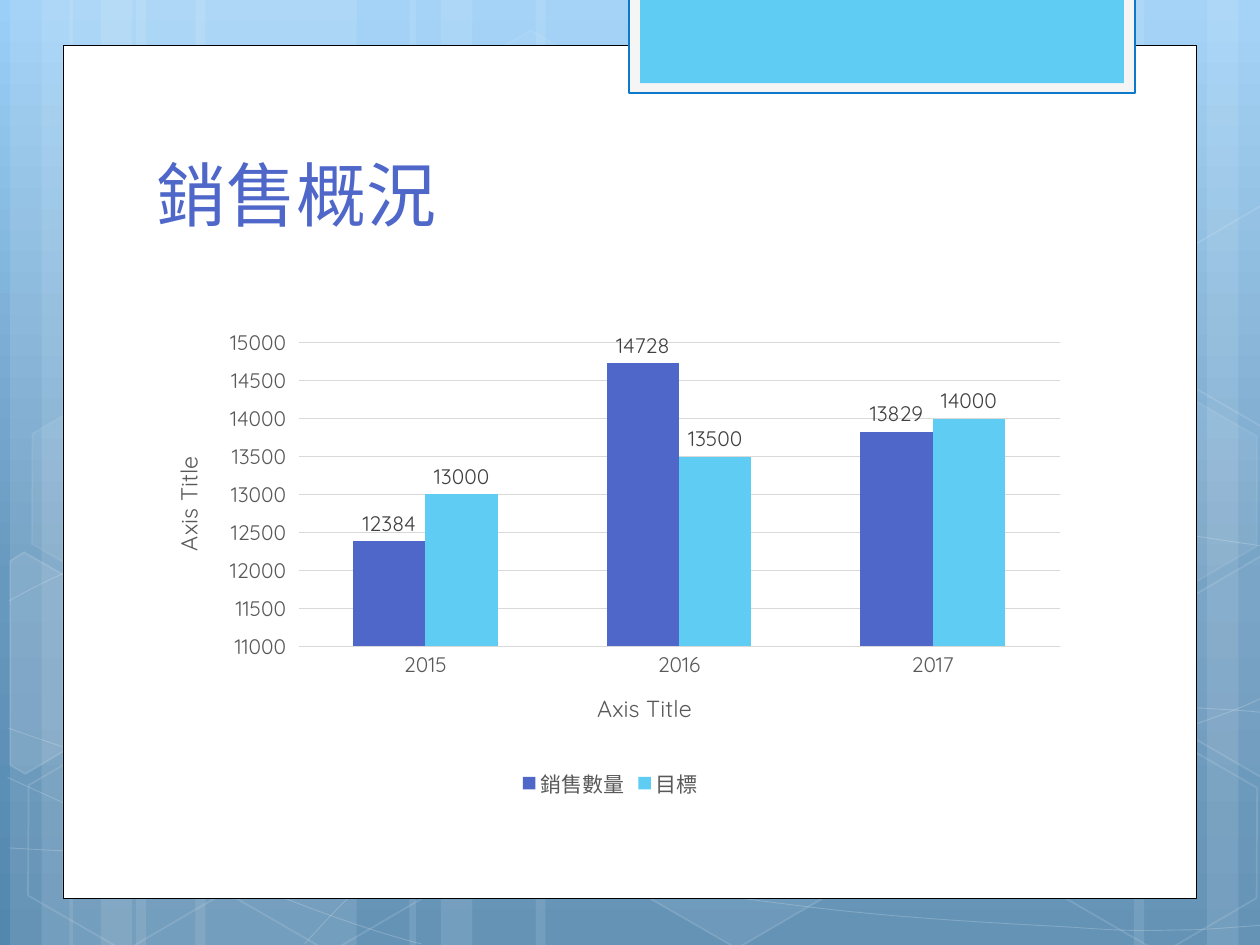
from dataclasses import dataclass
from math import cos, radians, sin
from typing import NamedTuple, Optional
import copy

from lxml import etree
from pptx import Presentation
from pptx.chart.data import CategoryChartData
from pptx.dml.color import RGBColor
from pptx.enum.chart import XL_CHART_TYPE, XL_LABEL_POSITION, XL_LEGEND_POSITION, XL_TICK_MARK
from pptx.enum.shapes import MSO_SHAPE
from pptx.enum.text import MSO_ANCHOR, MSO_AUTO_SIZE, PP_ALIGN
from pptx.oxml import parse_xml
from pptx.oxml.ns import nsdecls, qn
from pptx.util import Pt

RECT, HEXAGON = MSO_SHAPE.RECTANGLE, MSO_SHAPE.HEXAGON
COLUMNS = XL_CHART_TYPE.COLUMN_CLUSTERED
OUTSIDE_END = XL_LABEL_POSITION.OUTSIDE_END
LEGEND_BOTTOM = XL_LEGEND_POSITION.BOTTOM
TICK_NONE, TICK_OUT = XL_TICK_MARK.NONE, XL_TICK_MARK.OUTSIDE

PX = 9144  # 100 px to the inch
SLIDE_W, SLIDE_H = 1000, 750
TILT = 30  # degrees, shared by all hexagons


@dataclass(frozen=True)
class Theme:
    font: str = "Quicksand"
    sky: tuple = ((0, "9BCFF7"), (0.62, "6798BE"), (1, "5487AE"))
    white: str = "FFFFFF"
    black: str = "000000"
    tab_frame: str = "F5F5F5"
    tab_edge: str = "0D79CA"
    indigo: str = "4E67C8"
    cyan: str = "5ECCF3"
    grid: str = "D9D9D9"
    axis_text: str = "595959"
    label_text: str = "404040"
    title_size: float = 40
    axis_title_size: float = 13.3
    chart_size: float = 12


THEME = Theme()


class Box(NamedTuple):
    left: int
    top: int
    width: int
    height: int

    def emu(self) -> list:
        return [v * PX for v in self]


@dataclass(frozen=True)
class Paint:
    fill: Optional[str] = None
    line: Optional[str] = None
    width: float = 1
    fill_alpha: int = 100
    line_alpha: int = 100


class Hexagon(NamedTuple):
    left: int
    top: int
    fill_alpha: int
    line_alpha: int


class CutHexagon(NamedTuple):
    center: tuple
    points: tuple
    fill_alpha: int


class Series(NamedTuple):
    name: str
    values: tuple
    color: str


BANDS = ((108, 175), (8, 50), (33, 83), (155, 175), (55, 50), (80, 83),
         (733, 175), (958, 50), (900, 83), (425, 308), (325, 50), (350, 83))
# Each wave is a start point followed by cubic segments of three points
WAVES = (
    ((7, 673), (61, 676), (115, 679), (190, 678), (265, 677), (358, 675), (458, 665),
     (558, 655), (700, 636), (792, 617), (883, 598), (977, 568), (1007, 551)),
    ((7, 477), (36, 461), (65, 446), (121, 431), (178, 416), (259, 394), (347, 387),
     (436, 380), (544, 379), (654, 387), (764, 395), (947, 426), (1007, 434)),
    ((6, 617), (127, 672), (247, 727), (334, 749)),
    ((7, 578), (38, 589), (70, 600), (128, 616), (186, 631), (273, 656), (357, 673),
     (440, 690), (545, 708), (628, 718), (711, 729), (800, 733), (853, 736),
     (905, 740), (919, 738), (945, 738), (971, 737), (989, 735), (1007, 734)),
    ((242, 749), (260, 729), (278, 709), (302, 691), (326, 673), (360, 653), (388, 639),
     (416, 625), (433, 619), (470, 609), (506, 599), (573, 585), (608, 578),
     (644, 571), (649, 571), (680, 569), (711, 566), (760, 563), (794, 562),
     (829, 561), (886, 562), (886, 562), (886, 562), (953, 562), (953, 562),
     (971, 563), (988, 564), (997, 565), (1006, 566), (1003, 565), (1006, 566)),
)
HEXAGONS = (Hexagon(334, 36, 4, 8), Hexagon(497, 589, 6, 12), Hexagon(11, 591, 0, 12),
            Hexagon(14, 312, 7, 8), Hexagon(174, 592, 0, 12), Hexagon(753, 453, 10, 12),
            Hexagon(834, 593, 0, 12), Hexagon(834, 314, 7, 8))
CUT_HEXAGONS = (
    CutHexagon((36, 535), ((8, 445), (19, 438), (96, 482), (95, 570), (20, 614), (8, 607)), 10),
    CutHexagon((985, 520), ((926, 485), (1001, 441), (1009, 446), (1009, 613), (1002, 617),
                            (926, 573)), 4),
    CutHexagon((985, 241), ((926, 207), (1001, 163), (1010, 168), (1009, 335), (1002, 339),
                            (926, 295)), 0),
)
YEARS = ("2015", "2016", "2017")
SALES = (Series("銷售數量", (12384, 14728, 13829), THEME.indigo),
         Series("目標", (13000, 13500, 14000), THEME.cyan))


def rgb(color: str) -> RGBColor:
    return RGBColor.from_string(color)


def set_alpha(shape, query: str, percent: int) -> None:
    if percent < 100:
        for color in shape.element.spPr.xpath(query):
            etree.SubElement(color, qn("a:alpha")).set("val", str(percent * 1000))


def paint(shape, look: Paint) -> None:
    shape.shadow.inherit = False
    if look.fill and look.fill_alpha:
        shape.fill.solid()
        shape.fill.fore_color.rgb = rgb(look.fill)
        set_alpha(shape, "./a:solidFill/a:srgbClr", look.fill_alpha)
    else:
        shape.fill.background()
    if look.line:
        shape.line.color.rgb = rgb(look.line)
        shape.line.width = Pt(look.width)
        set_alpha(shape, "./a:ln/a:solidFill/a:srgbClr", look.line_alpha)
    else:
        shape.line.fill.background()


def add_block(slide, box: Box, look: Paint, kind=RECT):
    shape = slide.shapes.add_shape(kind, *box.emu())
    paint(shape, look)
    return shape


def add_outline(slide, points, look: Paint, close: bool):
    scaled = [(round(x * PX), round(y * PX)) for x, y in points]
    builder = slide.shapes.build_freeform(*scaled[0], scale=1.0)
    builder.add_line_segments(scaled[1:], close=close)
    shape = builder.convert_to_shape()
    paint(shape, look)
    return shape


def add_wave(slide, knots: tuple) -> None:
    shape = add_outline(slide, knots, Paint(line=THEME.white, width=0.5, line_alpha=20), False)
    outline = shape.element.find(".//" + qn("a:path"))
    steps = outline.findall(qn("a:lnTo"))
    for i in range(0, len(steps), 3):  # every three points form one cubic curve
        curve = etree.SubElement(outline, qn("a:cubicBezTo"))
        for step in steps[i:i + 3]:
            curve.append(step[0])
            outline.remove(step)


def untilt(point: tuple, center: tuple) -> tuple:
    dx, dy = point[0] - center[0], point[1] - center[1]
    c, s = cos(radians(TILT)), sin(radians(TILT))
    return center[0] + c * dx + s * dy, center[1] - s * dx + c * dy


def style_font(font, size: float, color: str) -> None:
    font.name, font.size, font.bold = THEME.font, Pt(size), False
    font.color.rgb = rgb(color)


def add_sky(slide) -> None:
    sky = slide.background.fill
    sky.gradient()
    sky.gradient_angle = 270
    stops = slide.element.find(".//" + qn("a:gsLst"))
    stops.append(copy.deepcopy(stops[-1]))
    for stop, (position, color) in zip(sky.gradient_stops, THEME.sky):
        stop.position = position
        stop.color.rgb = rgb(color)


def add_backdrop(slide) -> None:
    for left, width in BANDS:
        add_block(slide, Box(left, 0, width, SLIDE_H), Paint(THEME.white, fill_alpha=10))
    for wave in WAVES:
        add_wave(slide, wave)
    for left, top, fill_alpha, line_alpha in HEXAGONS:
        cell = add_block(slide, Box(left, top, 175, 152),
                         Paint(THEME.white, THEME.white, 1, fill_alpha, line_alpha), HEXAGON)
        cell.adjustments[0] = 0.285
        cell.rotation = TILT
    for center, points, fill_alpha in CUT_HEXAGONS:
        cell = add_outline(slide, [untilt(point, center) for point in points],
                           Paint(THEME.white, THEME.white, 1, fill_alpha, 12), True)
        cell.rotation = TILT


def add_title(slide, text: str, box: Box) -> None:
    title = slide.shapes.title
    slide.shapes.element.append(title.element)  # bring in front of the card
    title.left, title.top, title.width, title.height = box.emu()
    frame = title.text_frame
    frame.auto_size = MSO_AUTO_SIZE.NONE
    frame.vertical_anchor = MSO_ANCHOR.BOTTOM
    paragraph = frame.paragraphs[0]
    paragraph.alignment, paragraph.line_spacing = PP_ALIGN.LEFT, 0.9
    run = paragraph.add_run()
    run.text = text
    style_font(run.font, THEME.title_size, THEME.indigo)


def style_axis(axis, title: str, tick) -> None:
    run = axis.axis_title.text_frame.paragraphs[0].add_run()
    run.text = title
    style_font(run.font, THEME.axis_title_size, THEME.axis_text)
    style_font(axis.tick_labels.font, THEME.chart_size, THEME.axis_text)
    axis.major_tick_mark, axis.minor_tick_mark = tick, TICK_NONE


def place_plot(chart, frame: Box, plot: Box) -> None:
    area = chart.element.chart.plotArea
    for old in area.findall(qn("c:layout")):
        area.remove(old)
    shares = {"x": plot.left / frame.width, "y": plot.top / frame.height,
              "w": plot.width / frame.width, "h": plot.height / frame.height}
    parts = "".join(f'<c:{key} val="{value}"/>' for key, value in shares.items())
    area.insert(0, parse_xml(
        f'<c:layout {nsdecls("c")}><c:manualLayout><c:layoutTarget val="inner"/>'
        f'<c:xMode val="edge"/><c:yMode val="edge"/>{parts}</c:manualLayout></c:layout>'))


def add_sales_chart(slide, box: Box) -> None:
    data = CategoryChartData(number_format="General")
    data.categories = YEARS
    for series in SALES:
        data.add_series(series.name, series.values)
    chart = slide.shapes.add_chart(COLUMNS, *box.emu(), data).chart
    chart.has_title = False
    style_font(chart.font, THEME.chart_size, THEME.axis_text)

    # Axes and gridlines
    years, units = chart.category_axis, chart.value_axis
    style_axis(years, "Axis Title", TICK_NONE)
    style_axis(units, "Axis Title", TICK_OUT)
    units.minimum_scale, units.maximum_scale, units.major_unit = 11000, 15000, 500
    units.format.line.fill.background()
    for line in (years.format.line, units.major_gridlines.format.line):
        line.color.rgb = rgb(THEME.grid)
        line.width = Pt(0.75)

    # Columns and value labels
    plot = chart.plots[0]
    plot.gap_width, plot.overlap, plot.vary_by_categories = 150, 0, False
    for columns, series in zip(plot.series, SALES):
        columns.format.fill.solid()
        columns.format.fill.fore_color.rgb = rgb(series.color)
        labels = columns.data_labels
        labels.show_value, labels.position = True, OUTSIDE_END
        style_font(labels.font, THEME.chart_size, THEME.label_text)

    # Legend
    chart.has_legend = True
    chart.legend.position, chart.legend.include_in_layout = LEGEND_BOTTOM, False
    style_font(chart.legend.font, THEME.chart_size, THEME.axis_text)
    place_plot(chart, box, Box(123, 18, 604, 241))


def main() -> None:
    deck = Presentation()
    deck.slide_width, deck.slide_height = SLIDE_W * PX, SLIDE_H * PX
    slide = deck.slides.add_slide(deck.slide_layouts.get_by_name("Title Only"))
    add_sky(slide)
    add_backdrop(slide)
    # Card with its tab
    add_block(slide, Box(50, 36, 900, 677), Paint(THEME.white, THEME.black, 0.5))
    add_block(slide, Box(499, -2, 402, 76), Paint(THEME.tab_frame, THEME.tab_edge, 1.25))
    add_block(slide, Box(508, -2, 384, 68), Paint(THEME.cyan))
    # Content
    add_title(slide, "銷售概況", Box(114, 112, 768, 81))
    add_sales_chart(slide, Box(114, 254, 741, 384))
    deck.save("out.pptx")


if __name__ == "__main__":
    main()
